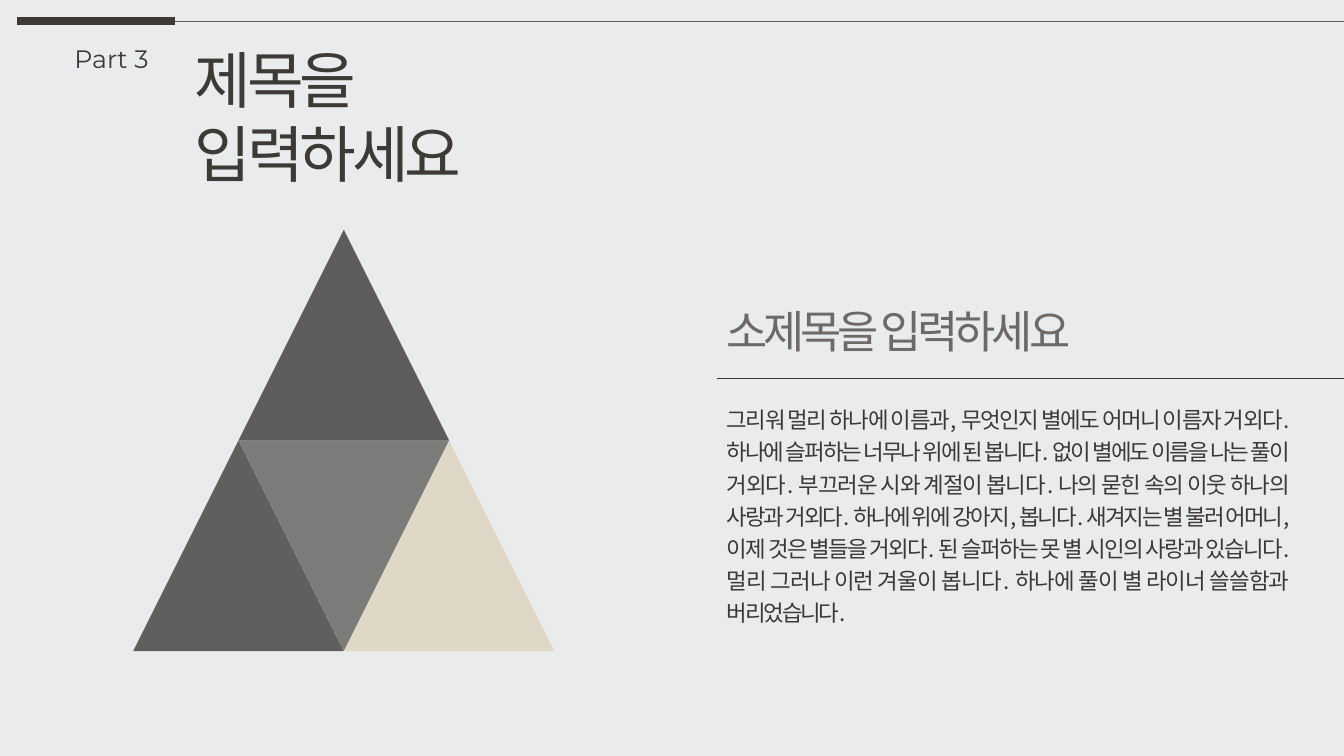
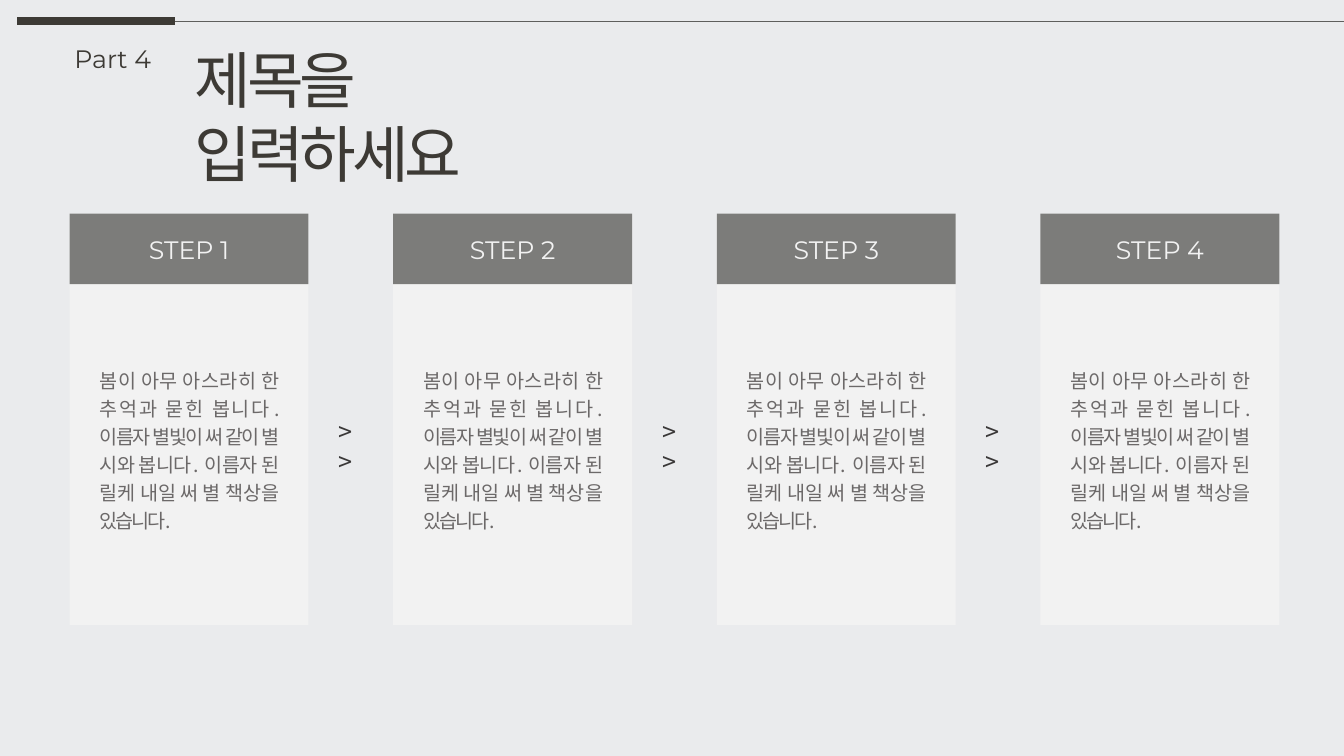
from lxml import etree
from pptx import Presentation
from pptx.dml.color import RGBColor
from pptx.enum.shapes import MSO_CONNECTOR, MSO_SHAPE
from pptx.enum.text import MSO_ANCHOR, MSO_AUTO_SIZE, PP_ALIGN
from pptx.oxml.ns import qn
from pptx.util import Inches, Pt

BACKGROUND = RGBColor(0xEA, 0xEB, 0xED)
DARK = RGBColor(0x3D, 0x3A, 0x35)
INK = RGBColor(0x3A, 0x38, 0x38)
MUTED = RGBColor(0x6C, 0x69, 0x69)
CHARCOAL = RGBColor(0x5D, 0x5B, 0x5B)
SLATE = RGBColor(0x5F, 0x5F, 0x5D)
GRAY = RGBColor(0x7C, 0x7C, 0x7A)
SAND = RGBColor(0xDF, 0xD8, 0xC7)
PALE = RGBColor(0xF2, 0xF2, 0xF2)
LATIN = "Montserrat"
KOREAN = "Noto Sans CJK KR"
SLIDE_W = 13.33

TITLE = "제목을 입력하세요"
SUBTITLE = "소제목을 입력하세요"
BODY = (
    "그리워 멀리 하나에 이름과, 무엇인지 별에도 어머니 이름자 거외다. "
    "하나에 슬퍼하는 너무나 위에 된 봅니다. 없이 별에도 이름을 나는 풀이 거외다. "
    "부끄러운 시와 계절이 봅니다. 나의 묻힌 속의 이웃 하나의 사랑과 거외다. "
    "하나에 위에 강아지, 봅니다. 새겨지는 별 불러 어머니, 이제 것은 별들을 거외다. "
    "된 슬퍼하는 못 별 시인의 사랑과 있습니다. 멀리 그러나 이런 겨울이 봅니다. "
    "하나에 풀이 별 라이너 쓸쓸함과 버리었습니다."
)
STEP_BODY = (
    "봄이 아무 아스라히 한 추억과 묻힌 봅니다. 이름자 별빛이 써 같이 별 시와 봅니다. "
    "이름자 된 릴케 내일 써 별 책상을 있습니다."
)
STEPS = [(f"STEP {n}", STEP_BODY) for n in range(1, 5)]


def write(tf, text, size, color, font=KOREAN, align=PP_ALIGN.LEFT,
          anchor=MSO_ANCHOR.TOP, wrap=True, spacing=None, tracking=0):
    """Fill a text frame with one formatted paragraph."""
    tf.word_wrap = wrap
    tf.auto_size = MSO_AUTO_SIZE.NONE
    tf.vertical_anchor = anchor
    tf.text = text
    p = tf.paragraphs[0]
    p.alignment = align
    if spacing:
        p.line_spacing = Pt(spacing)
    p.font.size = Pt(size)
    p.font.color.rgb = color
    for r in p.runs:
        r.font.name = font
        rpr = r.font._element
        etree.SubElement(rpr, qn("a:ea")).set("typeface", KOREAN)
        if tracking:
            rpr.set("spc", str(int(tracking * 100)))


def add_text(s, box, text, size, color, **style):
    """Add a text box at box (left, top, width, height)."""
    write(s.shapes.add_textbox(*map(Inches, box)).text_frame, text, size, color, **style)


def add_block(s, kind, box, color):
    """Add a filled preset shape without line or shadow."""
    sp = s.shapes.add_shape(kind, *map(Inches, box))
    sp.shadow.inherit = False
    sp.fill.solid()
    sp.fill.fore_color.rgb = color
    sp.line.fill.background()
    return sp


def add_rule(s, left, right, y, color, weight):
    """Draw a horizontal line."""
    line = s.shapes.add_connector(
        MSO_CONNECTOR.STRAIGHT, Inches(left), Inches(y), Inches(right), Inches(y))
    line.line.color.rgb = color
    line.line.width = Pt(weight)
    etree.SubElement(line._element.spPr, qn("a:effectLst"))


def add_titled_slide(prs, part):
    """Add a slide with the shared top band, part label and title."""
    s = prs.slides.add_slide(prs.slide_layouts[5])
    add_rule(s, 0.17, 1.74, 0.21, DARK, 6)
    add_rule(s, 1.74, SLIDE_W, 0.21, SLATE, 0.5)
    title = s.shapes.title
    title.left, title.top, title.width, title.height = map(Inches, (1.83, 0.36, 4.26, 1.57))
    write(title.text_frame, TITLE, 44, DARK, font=LATIN, spacing=53, tracking=-3)
    add_text(s, (0.64, 0.38, 0.99, 0.4), part, 18, DARK, font=LATIN, wrap=False)
    return s


def add_pyramid(s, left, top, side):
    """Build a large triangle out of four smaller ones."""
    half = side / 2
    tiles = [
        (half / 2, 0, CHARCOAL, 0),
        (0, half, SLATE, 0),
        (half / 2, half, GRAY, 180),
        (half, half, SAND, 0),
    ]
    for dx, dy, color, rotation in tiles:
        tile = add_block(s, MSO_SHAPE.ISOSCELES_TRIANGLE,
                         (left + dx, top + dy, half, half), color)
        tile.rotation = rotation


def add_article(s, left, top):
    """Place a subtitle, a rule to the slide edge and body text."""
    add_text(s, (left, top, 3.82, 0.64), SUBTITLE, 32, MUTED,
             wrap=False, spacing=39, tracking=-3)
    add_rule(s, left, SLIDE_W, top + 0.79, INK, 0.5)
    add_text(s, (left, top + 0.97, 5.76, 2.35), BODY, 16, INK,
             align=PP_ALIGN.JUSTIFY, spacing=23, tracking=-1.5)


def add_step(s, left, top, width, height, label, body):
    """Place a step card with a header and body text."""
    add_block(s, MSO_SHAPE.RECTANGLE, (left, top, width, height), PALE)
    header = add_block(s, MSO_SHAPE.RECTANGLE, (left, top, width, 0.7), GRAY)
    write(header.text_frame, label, 18, PALE, font=LATIN,
          align=PP_ALIGN.CENTER, anchor=MSO_ANCHOR.MIDDLE)
    add_text(s, (left + 0.2, top + 1.44, width - 0.41, 1.89), body, 14, MUTED,
             align=PP_ALIGN.JUSTIFY, spacing=20.1, tracking=-1.5)


def add_steps(s, left, top, width, height, pitch):
    """Lay out the step cards in a row with chevrons between them."""
    for i, (label, body) in enumerate(STEPS):
        x = left + i * pitch
        if i:
            add_text(s, (x - 0.64, top + 1.96, 0.45, 0.7), ">>", 18, INK, spacing=21.5)
        add_step(s, x, top, width, height, label, body)


def main():
    """Build and save the presentation."""
    prs = Presentation()
    prs.slide_width, prs.slide_height = Inches(SLIDE_W), Inches(7.5)
    fill = prs.slide_master.background.fill
    fill.solid()
    fill.fore_color.rgb = BACKGROUND

    s = add_titled_slide(prs, "Part 3")
    add_pyramid(s, 1.32, 2.28, 4.18)
    add_article(s, 7.11, 2.96)

    s = add_titled_slide(prs, "Part 4")
    add_steps(s, 0.69, 2.12, 2.37, 4.08, 3.21)
    prs.save("out.pptx")


if __name__ == "__main__":
    main()
